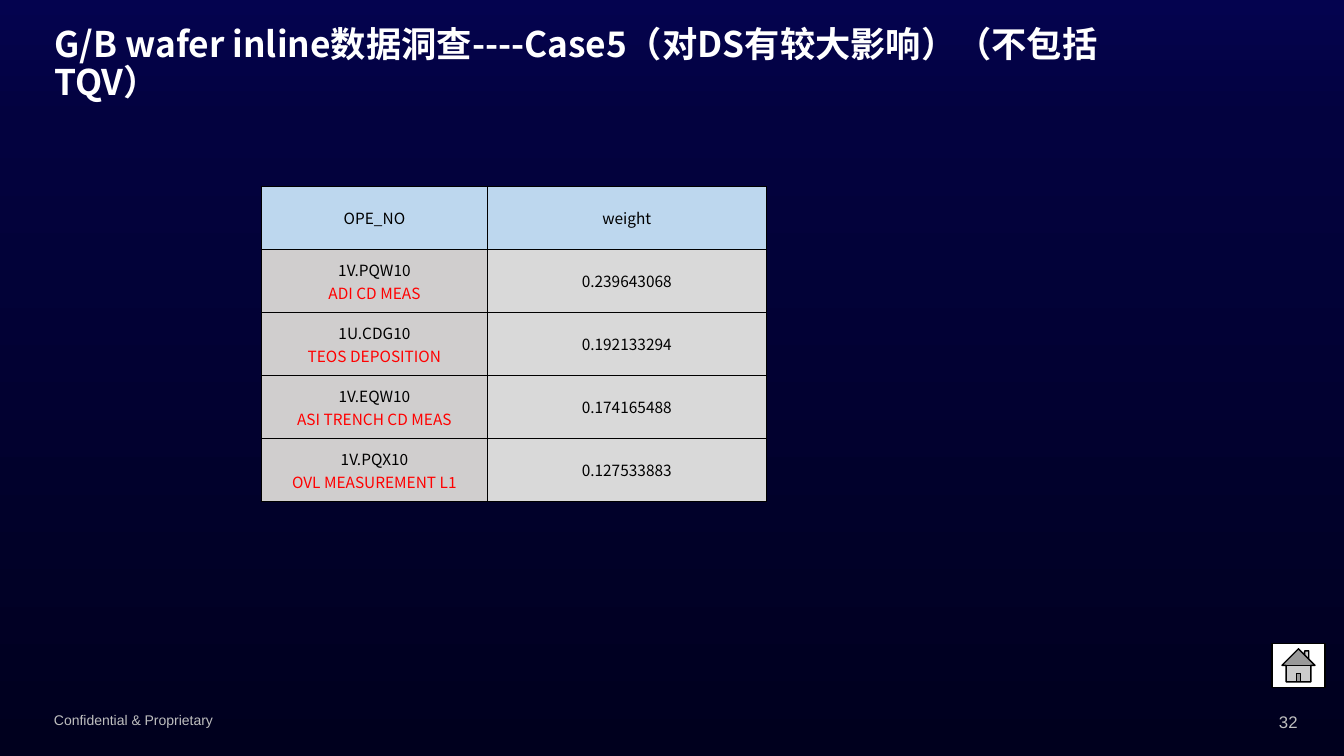
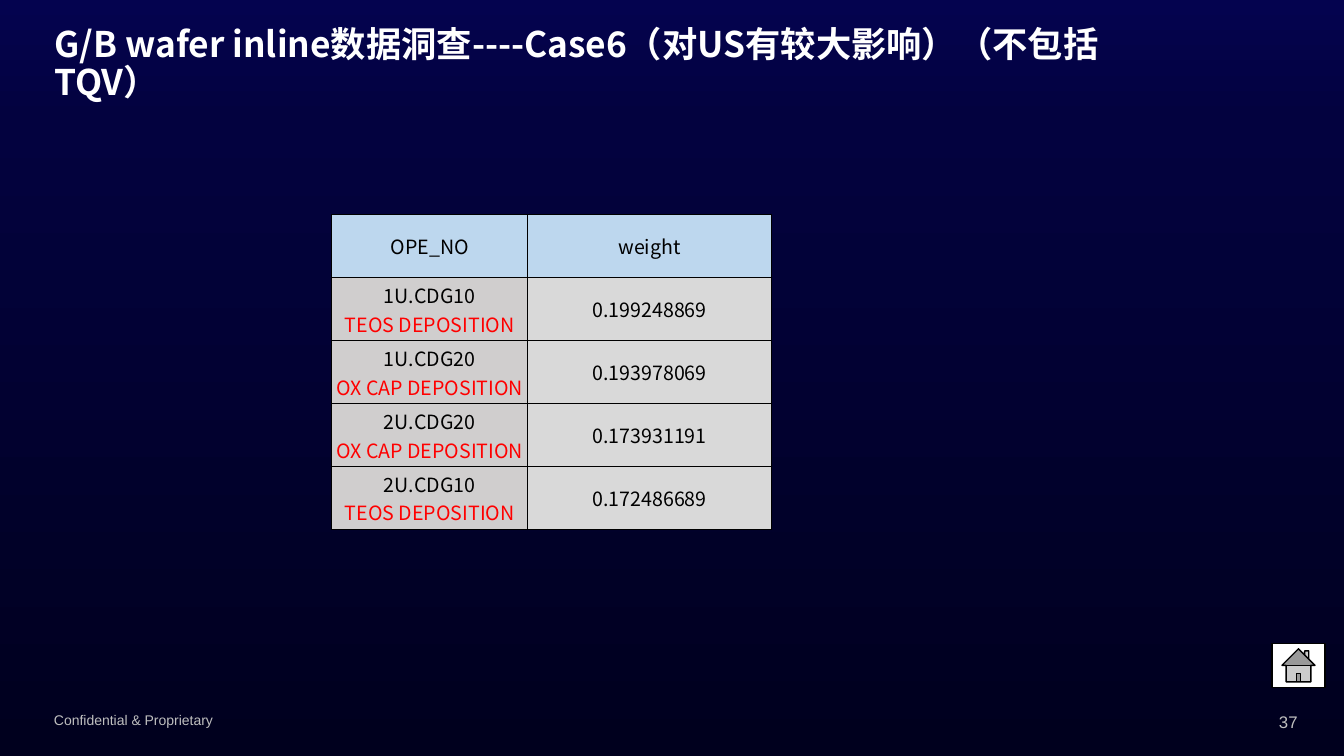
from copy import deepcopy

from pptx import Presentation
from pptx.dml.color import RGBColor
from pptx.enum import shapes, text
from pptx.oxml import parse_xml
from pptx.oxml.ns import nsdecls
from pptx.util import Pt

COLORS = {
    "sky": "04034F", "navy": "03023F", "night": "00001E",
    "white": "FFFFFF", "black": "000000", "red": "FF0000", "footer": "BFBFBF",
    "header": "BDD7EE", "step": "D0CECE", "weight": "D9D9D9",
}
CJK = "Noto Sans CJK SC"
ROW_HEIGHT = 45

CASES = [
    {
        "title": "G/B wafer inline数据洞查----Case5（对DS有较大影响）（不包括TQV）",
        "number": "32", "left": 187, "top": 133, "widths": (161, 199.5), "size": 11,
        "rows": [
            ("1V.PQW10", "ADI CD MEAS", "0.239643068"),
            ("1U.CDG10", "TEOS DEPOSITION", "0.192133294"),
            ("1V.EQW10", "ASI TRENCH CD MEAS", "0.174165488"),
            ("1V.PQX10", "OVL MEASUREMENT L1", "0.127533883"),
        ],
    },
    {
        "title": "G/B wafer inline数据洞查----Case6（对US有较大影响）（不包括TQV）",
        "number": "37", "left": 237, "top": 153, "widths": (140, 174), "size": 14,
        "rows": [
            ("1U.CDG10", "TEOS DEPOSITION", "0.199248869"),
            ("1U.CDG20", "OX CAP DEPOSITION", "0.193978069"),
            ("2U.CDG20", "OX CAP DEPOSITION", "0.173931191"),
            ("2U.CDG10", "TEOS DEPOSITION", "0.172486689"),
        ],
    },
]


def rgb(name):
    return RGBColor.from_string(COLORS[name])


def write(frame, *lines, size, colors=("black",), font=CJK, bold=False,
          align=text.PP_ALIGN.LEFT, spacing=None):
    """Fill a text frame with one paragraph per line, each in its own colour."""
    frame.word_wrap = True
    for index, (line, color) in enumerate(zip(lines, colors)):
        para = frame.add_paragraph() if index else frame.paragraphs[0]
        para.alignment = align
        para.line_spacing = spacing
        span = para.add_run()
        span.text = line
        span.font.name = font
        span.font.size = Pt(size)
        span.font.bold = bold
        span.font.color.rgb = rgb(color)
        span.font._element.append(
            parse_xml(f'<a:ea {nsdecls("a")} typeface="{font}"/>'))


deck = Presentation()
deck.slide_width, deck.slide_height = Pt(960), Pt(540)

# Shared background, set on the master
master = deck.slide_master
backdrop = master.background.fill
backdrop.gradient()
backdrop.gradient_angle = 270
stop_list = master.element.xpath("p:cSld/p:bg//a:gsLst")[0]
stop_list.append(deepcopy(stop_list[-1]))
for stop, position, color in zip(backdrop.gradient_stops, (0, 0.16, 1),
                                 ("sky", "navy", "night")):
    stop.position = position
    stop.color.rgb = rgb(color)

for case in CASES:
    page = deck.slides.add_slide(deck.slide_layouts.get_by_name("Title Only"))

    title = page.shapes.title
    title.left, title.top, title.width, title.height = Pt(31.5), Pt(21.5), Pt(811), Pt(50.5)
    title.text_frame.auto_size = text.MSO_AUTO_SIZE.NONE
    title.text_frame.vertical_anchor = text.MSO_ANCHOR.MIDDLE
    write(title.text_frame, case["title"], size=25.2, colors=["white"], bold=True, spacing=0.9)

    for label, left, width, size, align in (
        ("Confidential & Proprietary", 31.5, 324, 10, text.PP_ALIGN.LEFT),
        (case["number"], 898, 36, 12, text.PP_ALIGN.RIGHT),
    ):
        box = page.shapes.add_textbox(Pt(left), Pt(505), Pt(width), Pt(20))
        write(box.text_frame, label, size=size, colors=["footer"], font="Arial", align=align)

    home = page.shapes.add_shape(shapes.MSO_SHAPE.ACTION_BUTTON_HOME,
                                 Pt(908.5), Pt(459.5), Pt(38), Pt(31.5))
    home.shadow.inherit = False
    home.fill.solid()
    home.fill.fore_color.rgb = rgb("white")
    home.line.color.rgb = rgb("black")
    home.line.width = Pt(1)

    grid = [(("OPE_NO",), "header"), (("weight",), "header")]
    for code, step, weight in case["rows"]:
        grid += [((code, step), "step"), ((weight,), "weight")]
    row_count = len(case["rows"]) + 1
    table = page.shapes.add_table(
        row_count, 2, Pt(case["left"]), Pt(case["top"]),
        Pt(sum(case["widths"])), Pt(ROW_HEIGHT * row_count)).table
    table.first_row = table.horz_banding = False
    for column, width in zip(table.columns, case["widths"]):
        column.width = Pt(width)
    for cell, (lines, fill) in zip(table.iter_cells(), grid):
        cell.margin_left = cell.margin_right = cell.margin_top = Pt(0.7)
        cell.margin_bottom = Pt(0)
        cell.vertical_anchor = text.MSO_ANCHOR.MIDDLE
        properties = cell._tc.get_or_add_tcPr()
        for side in "LRTB":
            properties.append(parse_xml(
                f'<a:ln{side} {nsdecls("a")} w="{Pt(0.5)}"><a:solidFill>'
                f'<a:srgbClr val="{COLORS["black"]}"/></a:solidFill></a:ln{side}>'))
        cell.fill.solid()
        cell.fill.fore_color.rgb = rgb(fill)
        write(cell.text_frame, *lines, size=case["size"], colors=("black", "red"),
              align=text.PP_ALIGN.CENTER)

deck.save("out.pptx")
